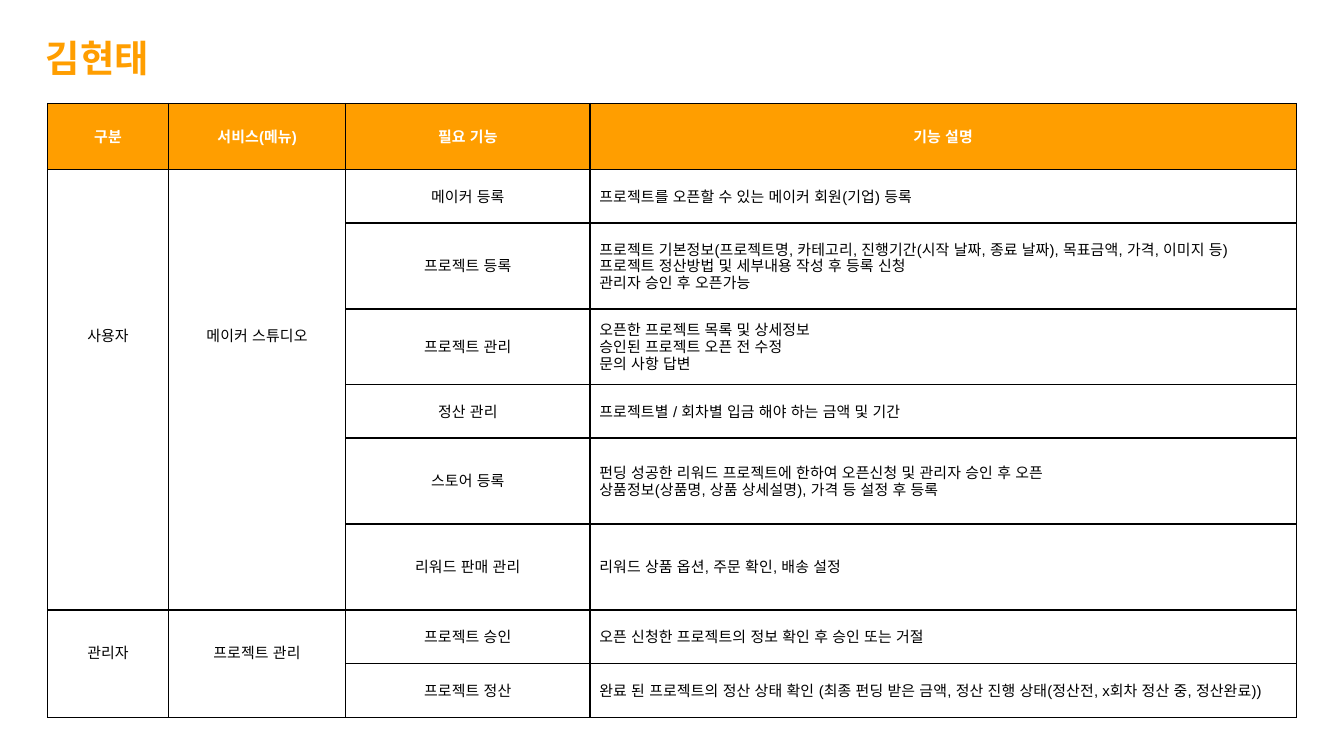
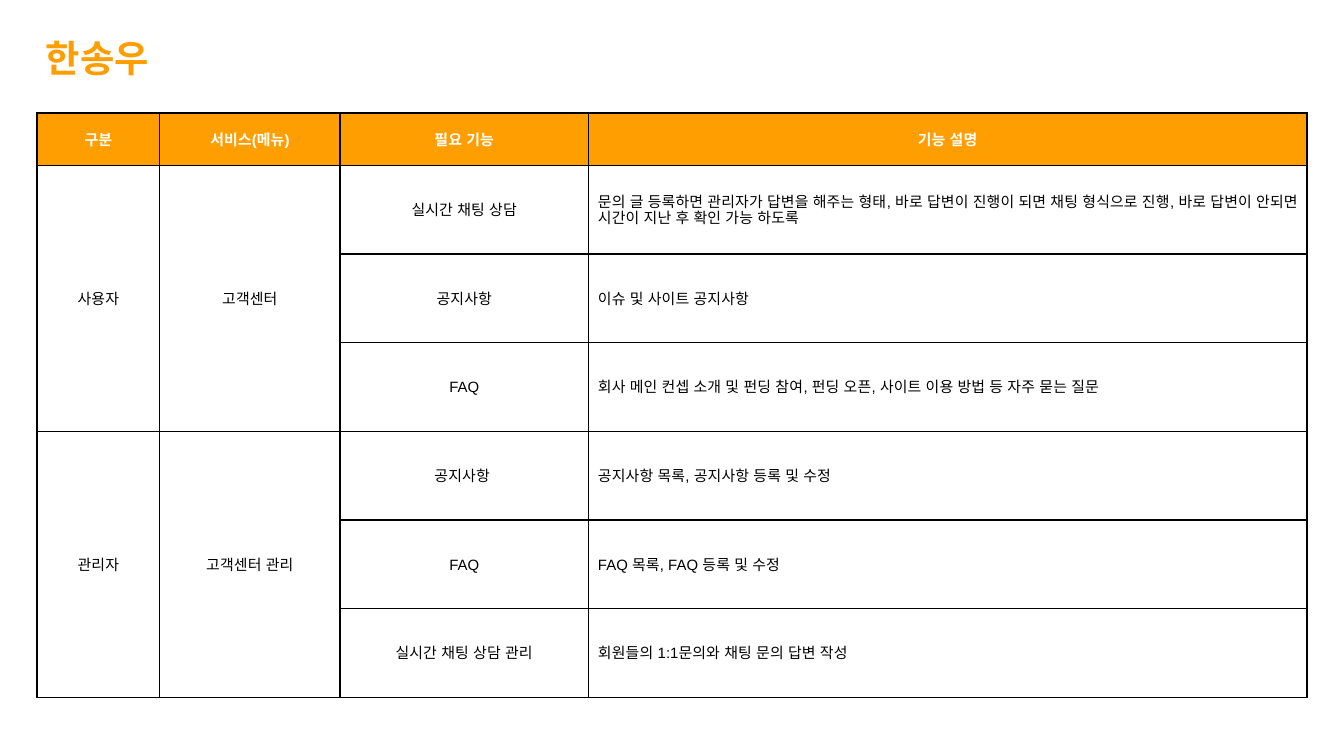
"""Builds two feature-list slides, each with a name title and a grouped table."""
from copy import deepcopy
from dataclasses import dataclass

from lxml import etree
from pptx import Presentation
from pptx import util as u
from pptx.dml.color import RGBColor
from pptx.enum import shapes, text
from pptx.oxml.ns import qn

HEADER = ("구분", "서비스(메뉴)", "필요 기능", "기능 설명")
COL_WEIGHTS = (0.9, 1.32, 1.82, 5.26)
SLIDES = [
    {
        "title": "김현태", "top": 0.77, "width": 9.29, "header_height": 0.49,
        "groups": [
            {"who": "사용자", "menu": "메이커 스튜디오", "lift": 0.8, "features": [
                (0.4, "메이커 등록", "프로젝트를 오픈할 수 있는 메이커 회원(기업) 등록"),
                (0.64, "프로젝트 등록",
                 "프로젝트 기본정보(프로젝트명, 카테고리, 진행기간(시작 날짜, 종료 날짜), 목표금액, 가격, 이미지 등)\v"
                 "프로젝트 정산방법 및 세부내용 작성 후 등록 신청\v관리자 승인 후 오픈가능"),
                (0.56, "프로젝트 관리",
                 "오픈한 프로젝트 목록 및 상세정보\v승인된 프로젝트 오픈 전 수정\v문의 사항 답변"),
                (0.4, "정산 관리", "프로젝트별 / 회차별 입금 해야 하는 금액 및 기간"),
                (0.64, "스토어 등록",
                 "펀딩 성공한 리워드 프로젝트에 한하여 오픈신청 및 관리자 승인 후 오픈\v"
                 "상품정보(상품명, 상품 상세설명), 가격 등 설정 후 등록"),
                (0.64, "리워드 판매 관리", "리워드 상품 옵션, 주문 확인, 배송 설정"),
            ]},
            {"who": "관리자", "menu": "프로젝트 관리", "lift": 0.16, "features": [
                (0.4, "프로젝트 승인", "오픈 신청한 프로젝트의 정보 확인 후 승인 또는 거절"),
                (0.4, "프로젝트 정산",
                 "완료 된 프로젝트의 정산 상태 확인 (최종 펀딩 받은 금액, 정산 진행 상태(정산전, x회차 정산 중, 정산완료))"),
            ]},
        ],
    },
    {
        "title": "한송우", "top": 0.84, "width": 9.45, "header_height": 0.39,
        "groups": [
            {"who": "사용자", "menu": "고객센터", "lift": 0, "features": [
                (0.66, "실시간 채팅 상담",
                 "문의 글 등록하면 관리자가 답변을 해주는 형태, 바로 답변이 진행이 되면 채팅 형식으로 진행, "
                 "바로 답변이 안되면 시간이 지난 후 확인 가능 하도록"),
                (0.66, "공지사항", "이슈 및 사이트 공지사항"),
                (0.66, "FAQ", "회사 메인 컨셉 소개 및 펀딩 참여, 펀딩 오픈, 사이트 이용 방법 등 자주 묻는 질문"),
            ]},
            {"who": "관리자", "menu": "고객센터 관리", "lift": 0, "features": [
                (0.66, "공지사항 ", "공지사항 목록, 공지사항 등록 및 수정"),
                (0.66, "FAQ", "FAQ 목록, FAQ 등록 및 수정"),
                (0.66, "실시간 채팅 상담 관리", "회원들의 1:1문의와 채팅 문의 답변 작성"),
            ]},
        ],
    },
]


@dataclass(frozen=True)
class Theme:
    """Colours, font and type sizes."""
    accent: RGBColor = RGBColor(0xFF, 0x9E, 0x00)
    backdrop: RGBColor = RGBColor(0x43, 0x43, 0x43)
    paper: RGBColor = RGBColor(0xFF, 0xFF, 0xFF)
    ink: RGBColor = RGBColor(0, 0, 0)
    font: str = "Arial"
    title_size: int = 20
    cell_size: int = 8
    border: float = 0.75


THEME = Theme()
CENTER, LEFT = text.PP_ALIGN.CENTER, text.PP_ALIGN.LEFT
MIDDLE = text.MSO_ANCHOR.MIDDLE


def apply(obj, values):
    """Set each attribute in values on obj."""
    for name, value in values.items():
        setattr(obj, name, value)


def paint(fill, color):
    """Make a fill solid in one colour."""
    fill.solid()
    fill.fore_color.rgb = color


def write(tf, words, size, color, bold, align):
    """Fill a text frame and format its runs and line breaks."""
    tf.text = words
    p = tf.paragraphs[0]
    p.alignment = align
    for r in p.runs:
        apply(r.font, {"name": THEME.font, "size": u.Pt(size), "bold": bold})
        r.font.color.rgb = color
        etree.SubElement(r._r.rPr, qn("a:ea"), typeface=THEME.font)
    for br in p._p.findall(qn("a:br")):
        br.append(deepcopy(p.runs[0]._r.rPr))


def add_borders(cell):
    """Draw a solid line on all four sides of a cell."""
    tc_pr = cell._tc.get_or_add_tcPr()
    for side in ("lnL", "lnR", "lnT", "lnB"):
        ln = etree.SubElement(tc_pr, qn("a:" + side), w=str(u.Pt(THEME.border)))
        fill = etree.SubElement(ln, qn("a:solidFill"))
        etree.SubElement(fill, qn("a:srgbClr"), val=str(THEME.ink))


def style_cell(cell, color):
    """Give a cell its borders, fill, margins and anchor."""
    add_borders(cell)
    paint(cell.fill, color)
    apply(cell, {"margin_left": u.Inches(0.01), "margin_right": u.Inches(0.01),
                 "margin_top": u.Inches(0.01), "margin_bottom": 0,
                 "vertical_anchor": MIDDLE})


def fill_cell(cell, words, align=CENTER, color=THEME.ink, bold=False):
    """Write table text into a cell."""
    write(cell.text_frame, words, THEME.cell_size, color, bold, align)


def add_page(s, prs):
    """Lay a full white page behind the other parts."""
    sp = s.shapes.add_shape(shapes.MSO_SHAPE.RECTANGLE, 0, 0,
                            prs.slide_width, prs.slide_height)
    sp.shadow.inherit = False
    paint(sp.fill, THEME.paper)
    sp.line.fill.background()
    s.shapes.title._element.addprevious(sp._element)


def add_title(s, words):
    """Place and format the title."""
    sp = s.shapes.title
    apply(sp, {"left": u.Inches(0.24), "top": u.Inches(0.21),
               "width": u.Inches(1.22), "height": u.Inches(0.44)})
    apply(sp.text_frame, {"word_wrap": True, "vertical_anchor": MIDDLE,
                          "auto_size": text.MSO_AUTO_SIZE.SHAPE_TO_FIT_TEXT})
    write(sp.text_frame, words, THEME.title_size, THEME.accent, True, LEFT)


def add_feature_table(s, data, slide_width):
    """Build the centred table, merging the first two columns by group."""
    groups = data["groups"]
    heights = [data["header_height"]]
    heights += [height for g in groups for height, _, _ in g["features"]]
    width = u.Inches(data["width"])
    table = s.shapes.add_table(
        len(heights), len(HEADER), (slide_width - width) // 2,
        u.Inches(data["top"]), width, u.Inches(sum(heights))).table
    for col, weight in zip(table.columns, COL_WEIGHTS):
        col.width = int(width * weight / sum(COL_WEIGHTS))
    for i, height in enumerate(heights):
        table.rows[i].height = u.Inches(height)
        for cell in table.rows[i].cells:
            style_cell(cell, THEME.paper if i else THEME.accent)
    for c, words in enumerate(HEADER):
        fill_cell(table.cell(0, c), words, color=THEME.paper, bold=True)

    row = 1
    for g in groups:
        last = row + len(g["features"]) - 1
        for c, key in enumerate(("who", "menu")):
            cell = table.cell(row, c)
            cell.merge(table.cell(last, c))
            cell.margin_bottom = u.Inches(g["lift"])
            fill_cell(cell, g[key])
        for i, (_, feature, detail) in enumerate(g["features"], row):
            fill_cell(table.cell(i, 2), feature)
            table.cell(i, 3).margin_left = u.Inches(0.07)
            fill_cell(table.cell(i, 3), detail, LEFT)
        row = last + 1


def main():
    """Build and save the presentation."""
    prs = Presentation()
    width = u.Inches(10)
    apply(prs, {"slide_width": width, "slide_height": width * 9 // 16})
    paint(prs.slide_master.background.fill, THEME.backdrop)
    for data in SLIDES:
        s = prs.slides.add_slide(prs.slide_layouts[5])
        add_page(s, prs)
        add_feature_table(s, data, prs.slide_width)
        add_title(s, data["title"])
    prs.save("out.pptx")


if __name__ == "__main__":
    main()
